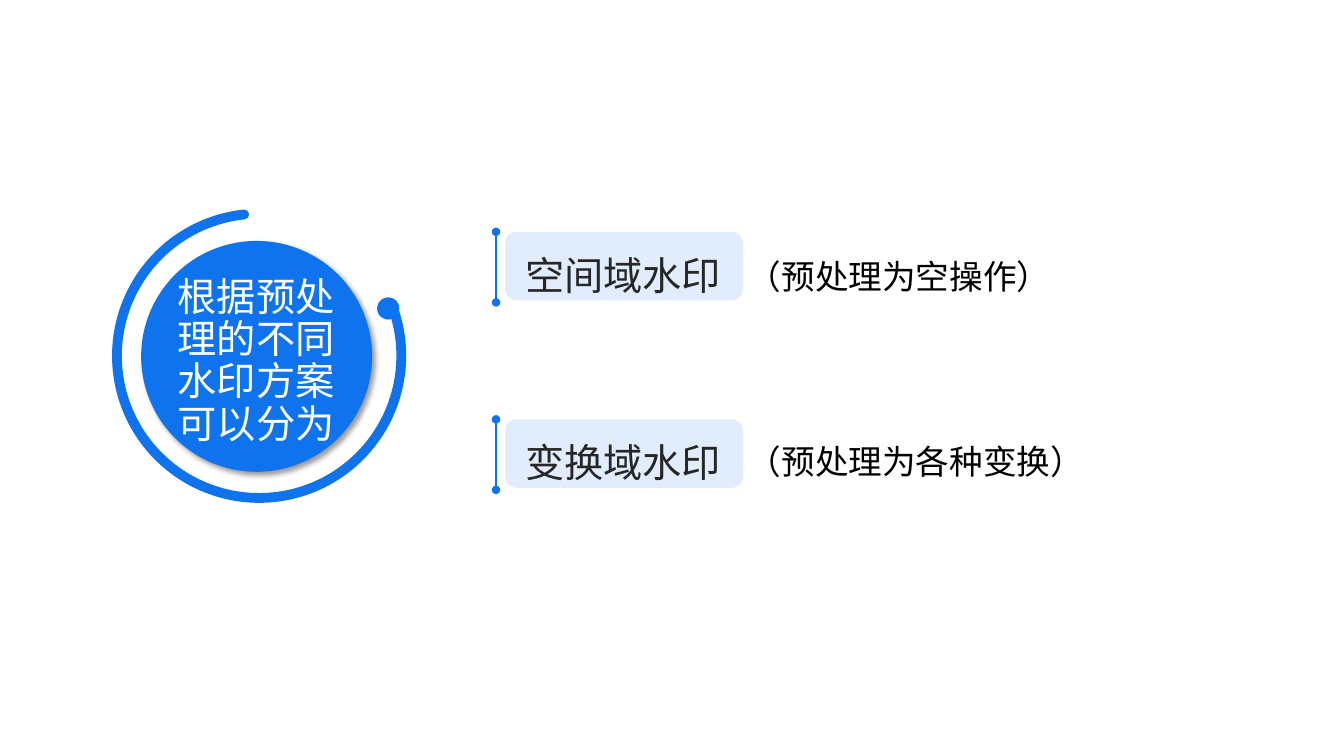
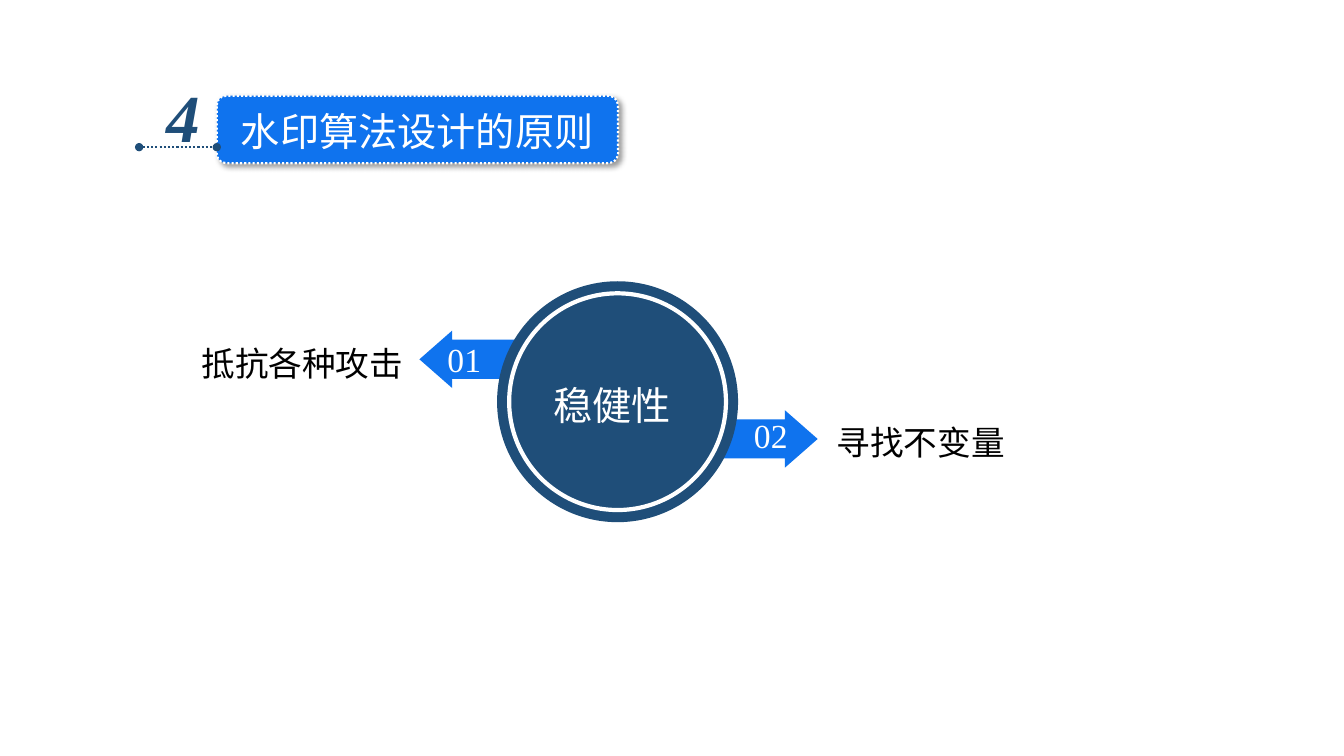
"""Build two slides on watermark categories and design principles."""
from lxml import etree
from pptx import Presentation
from pptx.dml.color import RGBColor
from pptx.enum import dml, shapes, text
from pptx.oxml.ns import qn
from pptx.util import Inches, Pt

BLUE, NAVY, WHITE, BLACK, DARK = "0F73EE", "1F4E79", "FFFFFF", "000000", "262626"
CJK, SERIF = "Noto Sans CJK SC", "Times New Roman"
TITLE_ONLY = 5
SHAPE = shapes.MSO_SHAPE


def rgb(value):
    """Turn a hex string into a colour."""
    return RGBColor.from_string(value)


def sub(parent, tag, **attrs):
    """Append a drawing element with the given attributes."""
    return etree.SubElement(parent, qn(tag), {k: str(v) for k, v in attrs.items()})


def add_shadow(sp):
    """Give a shape a soft shadow towards the lower right."""
    effects = sp._element.spPr.find(qn("a:effectLst"))
    outer = sub(effects, "a:outerShdw", blurRad=Pt(4), dist=Pt(3),
                dir=45 * 60000, algn="tl", rotWithShape=0)
    color = sub(outer, "a:srgbClr", val=BLACK)
    sub(color, "a:alpha", val=40000)


def style_line(line, color, width, dash=None):
    """Set the colour, width and dash of a line."""
    line.color.rgb = rgb(color)
    line.width = Pt(width)
    if dash:
        line.dash_style = dash


def add_shape(s, kind, x, y, w, h, fill=None, line=None, alpha=None,
              shadow=False, adj=()):
    """Add a preset shape; line is a (colour, width, dash) tuple."""
    sp = s.shapes.add_shape(kind, Inches(x), Inches(y), Inches(w), Inches(h))
    sp.shadow.inherit = False
    for i, value in enumerate(adj):
        sp.adjustments[i] = value
    if fill:
        sp.fill.solid()
        sp.fill.fore_color.rgb = rgb(fill)
    else:
        sp.fill.background()
    if alpha:
        color = sp._element.spPr.find(qn("a:solidFill"))[0]
        sub(color, "a:alpha", val=alpha * 1000)
    if line:
        style_line(sp.line, *line)
    else:
        sp.line.fill.background()
    if shadow:
        add_shadow(sp)
    return sp


def add_dumbbell(s, x1, y1, x2, y2, color, width, dash=None):
    """Add a straight line with a round dot at each end."""
    c = s.shapes.add_connector(shapes.MSO_CONNECTOR.STRAIGHT, Inches(x1),
                               Inches(y1), Inches(x2), Inches(y2))
    style_line(c.line, color, width, dash)
    ln = c.line._get_or_add_ln()
    sub(ln, "a:headEnd", type="oval")
    sub(ln, "a:tailEnd", type="oval")
    sub(c._element.spPr, "a:effectLst")


def write(sp, words, size=28, color=WHITE, font=CJK, bold=False, italic=False,
          align=text.PP_ALIGN.LEFT, spacing=1.0):
    """Write one formatted paragraph into a shape."""
    tf = sp.text_frame
    tf.word_wrap = True
    tf.auto_size = text.MSO_AUTO_SIZE.NONE
    tf.vertical_anchor = text.MSO_ANCHOR.TOP
    p = tf.paragraphs[0]
    p.alignment = align
    p.line_spacing = spacing
    r = p.add_run()
    r.text = words
    r.font.size = Pt(size)
    r.font.bold = bold
    r.font.italic = italic
    r.font.color.rgb = rgb(color)
    r.font.name = font
    sub(r._r.get_or_add_rPr(), "a:ea", typeface=CJK)


def add_text(s, words, x, y, w, h, **fmt):
    """Add a text box."""
    box = s.shapes.add_textbox(Inches(x), Inches(y), Inches(w), Inches(h))
    write(box, words, **fmt)


def place_title(s, words, x, y, w, h, **fmt):
    """Move the title placeholder in front of the shapes so far and fill it."""
    title = s.shapes.title
    title.left, title.top = Inches(x), Inches(y)
    title.width, title.height = Inches(w), Inches(h)
    write(title, words, **fmt)
    s.shapes._spTree.append(title._element)


def add_open_ring(s, cx, cy, radius, start, end):
    """Add a thick open arc, clockwise between two angles in degrees."""
    ring = add_shape(s, SHAPE.ARC, cx - radius, cy - radius, 2 * radius,
                     2 * radius, line=(BLUE, 7), adj=(start * 0.6, end * 0.6))
    ring.line._get_or_add_ln().set("cap", "rnd")


def add_category(s, y, name, note, note_y):
    """Add one category: dotted post, tinted label and note."""
    add_shape(s, SHAPE.ROUNDED_RECTANGLE, 5.01, y, 2.36, 0.68, BLUE, alpha=12)
    add_dumbbell(s, 4.92, y, 4.92, y + 0.7, BLUE, 2)
    add_text(s, name, 5.11, y - 0.09, 2.3, 0.72, color=DARK, spacing=1.5)
    add_text(s, note, 7.32, note_y, 4.5, 0.64, size=24, color=BLACK,
             font=SERIF, spacing=1.5)


def add_branch(s, kind, x, y, w, number, number_x, number_y):
    """Add a numbered arrow."""
    add_shape(s, kind, x, y, w, 0.57, BLUE, adj=(0.68, 0.57))
    add_text(s, number, number_x, number_y, 0.6, 0.5, size=24, font=SERIF)


def build_categories(s):
    """Show the two kinds of watermark."""
    add_shape(s, SHAPE.OVAL, 1.4, 2.39, 2.29, 2.29, BLUE, shadow=True)
    place_title(s, "根据预处理的不同水印方案可以分为", 1.62, 2.7, 1.84, 1.43,
                align=text.PP_ALIGN.CENTER, spacing=0.9)
    add_open_ring(s, 2.57, 3.53, 1.41, 340, 264)
    add_shape(s, SHAPE.OVAL, 3.74, 2.95, 0.22, 0.22, BLUE)
    add_category(s, 2.3, "空间域水印", "（预处理为空操作）", 2.29)
    add_category(s, 4.16, "变换域水印", "（预处理为各种变换）", 4.13)


def build_principles(s):
    """Show the robustness principle and its two branches."""
    dotted = dml.MSO_LINE.ROUND_DOT
    add_shape(s, SHAPE.ROUNDED_RECTANGLE, 2.15, 0.95, 3.98, 0.67, BLUE,
              line=(WHITE, 1.5, dotted), shadow=True, adj=(0.14,))
    place_title(s, "水印算法设计的原则", 2.29, 1.01, 3.8, 0.57)
    add_text(s, "4", 1.55, 0.7, 0.6, 0.91, size=48, color=NAVY, font=SERIF,
             bold=True, italic=True)
    add_dumbbell(s, 1.38, 1.46, 2.15, 1.46, NAVY, 1.5, dotted)
    add_branch(s, SHAPE.RIGHT_ARROW, 6.74, 4.07, 1.37, "02", 7.38, 4.07)
    add_branch(s, SHAPE.LEFT_ARROW, 4.16, 3.28, 1.32, "01", 4.34, 3.31)
    add_shape(s, SHAPE.OVAL, 4.93, 2.79, 2.39, 2.39, NAVY)
    add_shape(s, SHAPE.OVAL, 5.05, 2.91, 2.15, 2.15, line=(WHITE, 3))
    add_text(s, "稳健性", 5.39, 3.73, 2.04, 0.57)
    add_text(s, "抵抗各种攻击", 1.9, 3.35, 2.41, 0.5, size=24, color=BLACK)
    add_text(s, "寻找不变量", 8.2, 4.14, 2, 0.5, size=24, color=BLACK)


def main():
    """Build and save the presentation."""
    prs = Presentation()
    prs.slide_width, prs.slide_height = Inches(13.33), Inches(7.5)
    for build in (build_categories, build_principles):
        build(prs.slides.add_slide(prs.slide_layouts[TITLE_ONLY]))
    prs.save("out.pptx")


if __name__ == "__main__":
    main()
